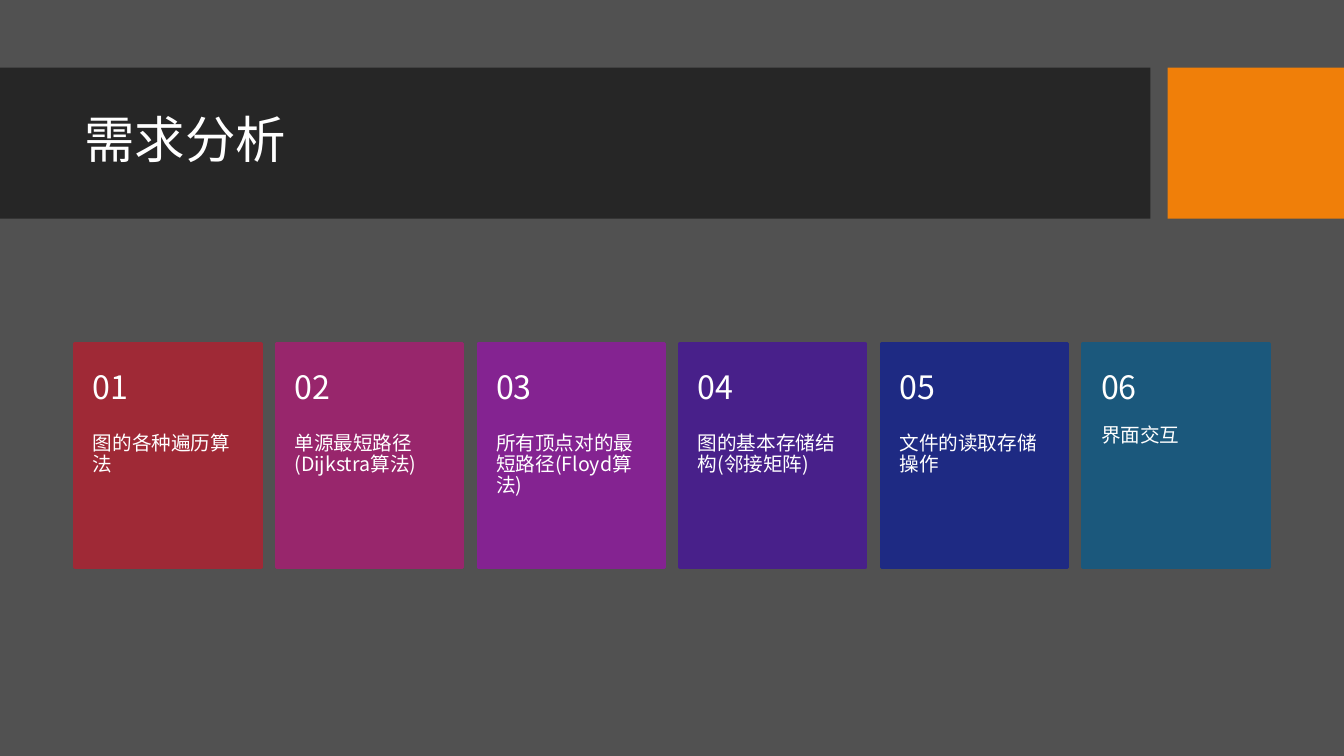
from dataclasses import dataclass
from typing import Any

from lxml.etree import SubElement
from pptx import Presentation
from pptx.dml.color import RGBColor as RGB
from pptx.enum.shapes import MSO_SHAPE as SHAPE
from pptx.enum.text import MSO_ANCHOR as ANCHOR
from pptx.oxml.ns import qn
from pptx.util import Inches, Pt

FONT = "Noto Sans CJK SC"
COLORS = {
    "back": "515151", "band": "262626", "accent": "F07F09", "text": "FFFFFF",
    "red": "9F2936", "pink": "98266C", "purple": "842391",
    "violet": "48208A", "blue": "1E2A83", "teal": "1B587C",
}

# Card grid, in inches
LEFT, TOP, PITCH = 0.74, 3.41, 2.0
CARD_W, HEAD_H, BODY_H = 1.85, 0.89, 1.33
PAD = 0.18


@dataclass
class Box:
    x: float
    y: float
    w: float
    h: float

    def emu(self) -> list[int]:
        return [Inches(v) for v in (self.x, self.y, self.w, self.h)]


@dataclass
class Card:
    text: str
    color: str


CARDS = [
    Card("图的各种遍历算法", "red"),
    Card("单源最短路径(Dijkstra算法)", "pink"),
    Card("所有顶点对的最短路径(Floyd算法)", "purple"),
    Card("图的基本存储结构(邻接矩阵)", "violet"),
    Card("文件的读取存储操作", "blue"),
    Card("界面交互", "teal"),
]


def set_all(target: Any, formats: dict[str, Any]) -> None:
    for name, value in formats.items():
        setattr(target, name, value)


def add_rect(shapes: Any, box: Box, color: str, line: float = 0) -> None:
    sp = shapes.add_shape(SHAPE.RECTANGLE, *box.emu())
    sp.shadow.inherit = False
    sp.fill.solid()
    sp.fill.fore_color.rgb = RGB.from_string(COLORS[color])
    if line:
        sp.line.color.rgb = RGB.from_string(COLORS[color])
        sp.line.width = Pt(line)
    else:
        sp.line.fill.background()


def add_text(shapes: Any, box: Box, text: str, size: float,
             formats: dict[str, Any]) -> None:
    tf = shapes.add_textbox(*box.emu()).text_frame
    set_all(tf, {"word_wrap": True, **formats})
    p = tf.paragraphs[0]
    p.line_spacing = 0.9
    r = p.add_run()
    r.text = text
    r.font.color.rgb = RGB.from_string(COLORS["text"])
    set_all(r.font, {"size": Pt(size), "name": FONT})
    # East Asian glyphs take their own typeface
    SubElement(r.font._element, qn("a:ea"), typeface=FONT)


def add_card(shapes: Any, index: int, card: Card) -> None:
    x = LEFT + index * PITCH
    sides = {"margin_left": Inches(PAD), "margin_right": Inches(PAD)}
    head = {**sides, "margin_top": Inches(PAD), "margin_bottom": Inches(PAD),
            "vertical_anchor": ANCHOR.MIDDLE}
    body = {**sides, "margin_top": 0, "margin_bottom": Inches(2 * PAD),
            "vertical_anchor": ANCHOR.TOP}
    group = shapes.add_group_shape().shapes
    add_rect(group, Box(x, TOP, CARD_W, HEAD_H + BODY_H), card.color, 2)
    add_text(group, Box(x, TOP + HEAD_H, CARD_W, BODY_H), card.text, 14, body)
    add_text(group, Box(x, TOP, CARD_W, HEAD_H), f"{index + 1:02}", 23, head)


def main() -> None:
    prs = Presentation()
    set_all(prs, {"slide_width": Inches(13.33), "slide_height": Inches(7.5)})
    s = prs.slides.add_slide(prs.slide_layouts[6])
    s.background.fill.solid()
    s.background.fill.fore_color.rgb = RGB.from_string(COLORS["back"])

    # Title band
    add_rect(s.shapes, Box(0, 0.67, 11.41, 1.5), "band")
    add_rect(s.shapes, Box(11.58, 0.67, 1.75, 1.5), "accent")
    add_text(s.shapes, Box(LEFT, 0.82, 10.51, 1.18), "需求分析", 36,
             {"vertical_anchor": ANCHOR.MIDDLE})

    # Requirement cards
    for index, card in enumerate(CARDS):
        add_card(s.shapes, index, card)

    prs.save("out.pptx")


if __name__ == "__main__":
    main()
